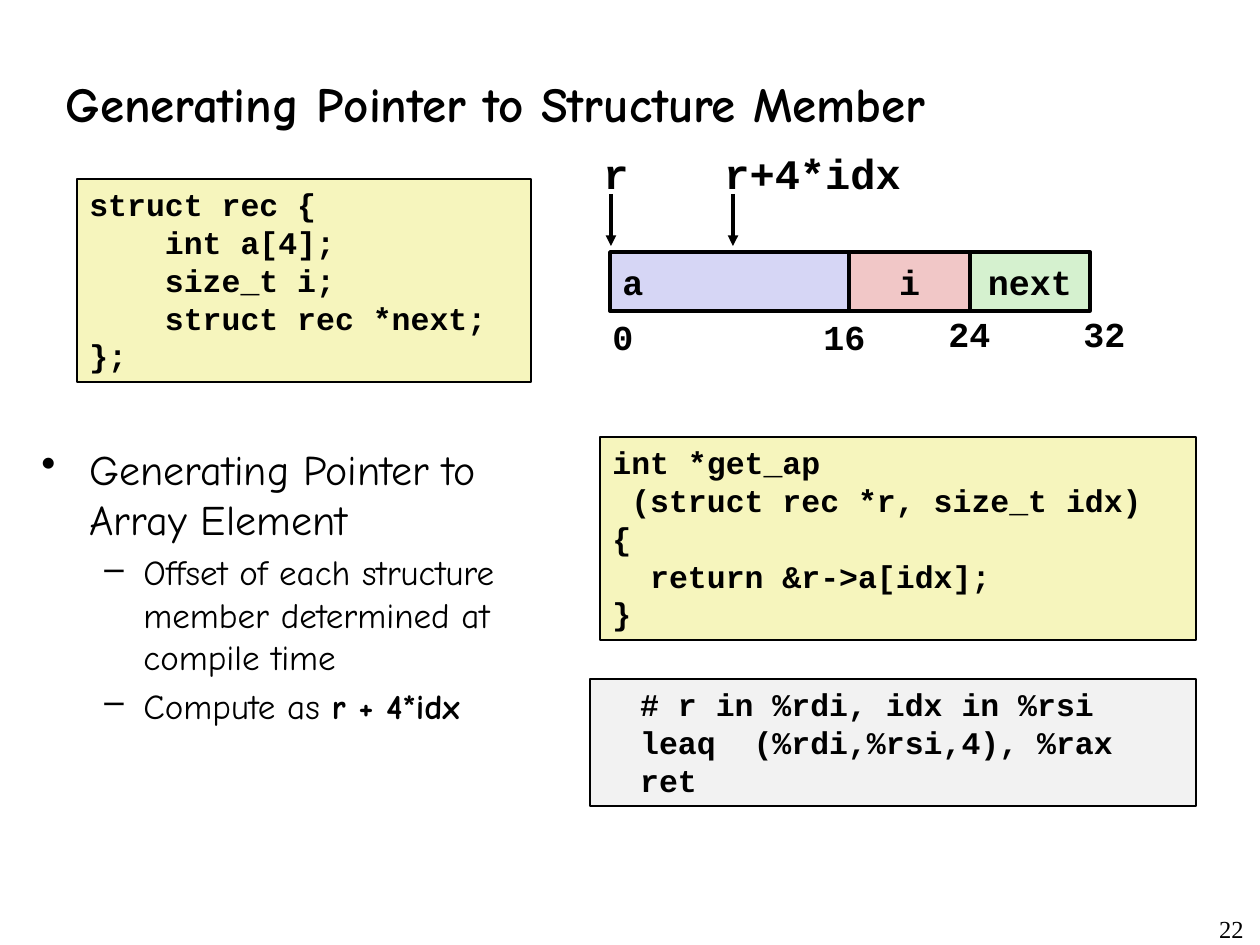
import pptx
import pptx.dml.color
import pptx.enum.shapes
import pptx.enum.text
import pptx.oxml
import pptx.oxml.ns
import pptx.util

SCALE = 914400 / 126
ALIGN = pptx.enum.text.PP_ALIGN
ANCHOR = pptx.enum.text.MSO_ANCHOR

THEME = {
    "ink": "000000",
    "code": "F6F5BD",
    "assembly": "F2F2F2",
    "array": "D6D6F5",
    "index": "F1C7C7",
    "next": "D5F1CF",
    "title_font": {"name": "Comic Neue", "size": 28, "bold": True},
    "body_font": {"name": "Comic Neue", "size": 24, "bold": False},
    "sub_font": {"name": "Comic Neue", "size": 20, "bold": False},
    "code_font": {"name": "Courier New", "size": 18, "bold": True},
    "field_font": {"name": "Courier New", "size": 20, "bold": True},
    "pointer_font": {"name": "Courier New", "size": 24, "bold": True},
    "number_font": {"name": "Times New Roman", "size": 14, "bold": False},
}

STRUCT = ["struct rec {", "    int a[4];", "    size_t i;", "    struct rec *next;", "};"]
FUNCTION = ["int *get_ap", " (struct rec *r, size_t idx)", "{", "  return &r->a[idx];", "}"]
ASSEMBLY = ["  # r in %rdi, idx in %rsi", "  leaq  (%rdi,%rsi,4), %rax", "  ret"]
FIELDS = [
    ("a", 610, 239, "array", ALIGN.LEFT),
    ("i", 849, 121, "index", ALIGN.CENTER),
    ("next", 970, 120, "next", ALIGN.CENTER),
]
OFFSETS = [("0", 600, 309, 45), ("16", 811, 309, 68), ("24", 936, 306, 68), ("32", 1071, 306, 68)]
POINTERS = [("r", 591, 50, 611), ("r+4*idx", 712, 204, 733)]
BULLETS = [
    (0, [("Generating Pointer to Array Element", False)]),
    (1, [("Offset of each structure member determined at compile time", False)]),
    (1, [("Compute as ", False), ("r + 4*idx", True)]),
]
LEVELS = [("•", 48, -48, "body_font"), ("–", 102, -39, "sub_font")]


def px(n):
    """Turn pixels into EMU."""
    return pptx.util.Emu(round(n * SCALE))


def rgb(key):
    """Look up a theme colour."""
    return pptx.dml.color.RGBColor.from_string(THEME[key])


def set_font(font, key):
    """Apply a theme font to a font object."""
    for name, value in THEME[key].items():
        setattr(font, name, pptx.util.Pt(value) if name == "size" else value)
    font.color.rgb = rgb("ink")


def write(sp, lines, font, align=ALIGN.LEFT, anchor=ANCHOR.TOP, wrap=True):
    """Fill a shape with one paragraph a line."""
    tf = sp.text_frame
    frame = {"word_wrap": wrap, "vertical_anchor": anchor,
             "auto_size": pptx.enum.text.MSO_AUTO_SIZE.NONE}
    for name, value in frame.items():
        setattr(tf, name, value)
    for i, line in enumerate(lines):
        p = tf.add_paragraph() if i else tf.paragraphs[0]
        p.alignment = align
        r = p.add_run()
        r.text = line
        set_font(r.font, font)


def add_title(s, text, box):
    """Place and format the title placeholder."""
    sp = s.shapes.title
    for name, value in zip(("left", "top", "width", "height"), box):
        setattr(sp, name, px(value))
    write(sp, [text], "title_font", anchor=ANCHOR.MIDDLE)


def add_box(s, box, fill, width, lines, font, **layout):
    """Add an outlined rectangle with text."""
    sp = s.shapes.add_shape(pptx.enum.shapes.MSO_SHAPE.RECTANGLE, *map(px, box))
    sp.shadow.inherit = False
    sp.fill.solid()
    sp.fill.fore_color.rgb = rgb(fill)
    sp.line.color.rgb = rgb("ink")
    sp.line.width = pptx.util.Pt(width)
    write(sp, lines, font, **layout)


def add_label(s, box, text, font, **layout):
    """Add a one-line text box."""
    write(s.shapes.add_textbox(*map(px, box)), [text], font, **layout)


def add_arrow(s, x, top, bottom):
    """Add a downward arrow."""
    sp = s.shapes.add_connector(pptx.enum.shapes.MSO_CONNECTOR.STRAIGHT,
                                px(x), px(top), px(x), px(bottom))
    sp.line.color.rgb = rgb("ink")
    sp.line.width = pptx.util.Pt(2)
    ns = pptx.oxml.ns.nsdecls("a")
    sp.line._get_or_add_ln().append(
        pptx.oxml.parse_xml(f'<a:tailEnd {ns} type="triangle"/>'))
    sp._element.spPr.append(pptx.oxml.parse_xml(f"<a:effectLst {ns}/>"))


def add_bullets(s, box, items):
    """Add a two-level bulleted list."""
    tf = s.shapes.add_textbox(*map(px, box)).text_frame
    tf.word_wrap = True
    for i, (level, runs) in enumerate(items):
        mark, margin, indent, font = LEVELS[level]
        p = tf.add_paragraph() if i else tf.paragraphs[0]
        p.level = level
        if i:
            p.space_before = pptx.util.Pt(THEME[font]["size"] * 0.2)
        pPr = p._p.get_or_add_pPr()
        pPr.set("marL", str(px(margin)))
        pPr.set("indent", str(px(indent)))
        pPr.append(pptx.oxml.parse_xml(
            f'<a:buChar {pptx.oxml.ns.nsdecls("a")} char="{mark}"/>'))
        for text, bold in runs:
            r = p.add_run()
            r.text = text
            set_font(r.font, font)
            r.font.bold = bold


def add_record(s):
    """Draw the record layout with its pointers and offsets."""
    for text, left, width, fill, align in FIELDS:
        add_box(s, (left, 252, width, 59), fill, 2, [text], "field_font",
                align=align, anchor=ANCHOR.MIDDLE)
    for text, left, top, width in OFFSETS:
        add_label(s, (left, top, width, 54), text, "field_font", wrap=False)
    for text, left, width, x in POINTERS:
        add_label(s, (left, 141, width, 63), text, "pointer_font", wrap=False)
        add_arrow(s, x, 194, 246)


def main():
    """Build and save the slide."""
    prs = pptx.Presentation()
    prs.slide_width, prs.slide_height = px(1260), px(945)
    s = prs.slides.add_slide(prs.slide_layouts[5])
    add_title(s, "Generating Pointer to Structure Member", (53, 63, 1144, 79))
    add_box(s, (77, 179, 454, 203), "code", 1, STRUCT, "code_font")
    add_box(s, (600, 437, 596, 203), "code", 1, FUNCTION, "code_font")
    add_box(s, (590, 679, 606, 127), "assembly", 1, ASSEMBLY, "code_font")
    add_bullets(s, (29, 437, 549, 394), BULLETS)
    add_record(s)
    add_label(s, (1188, 908, 68, 32), "22", "number_font", align=ALIGN.RIGHT)
    prs.save("out.pptx")


if __name__ == "__main__":
    main()
